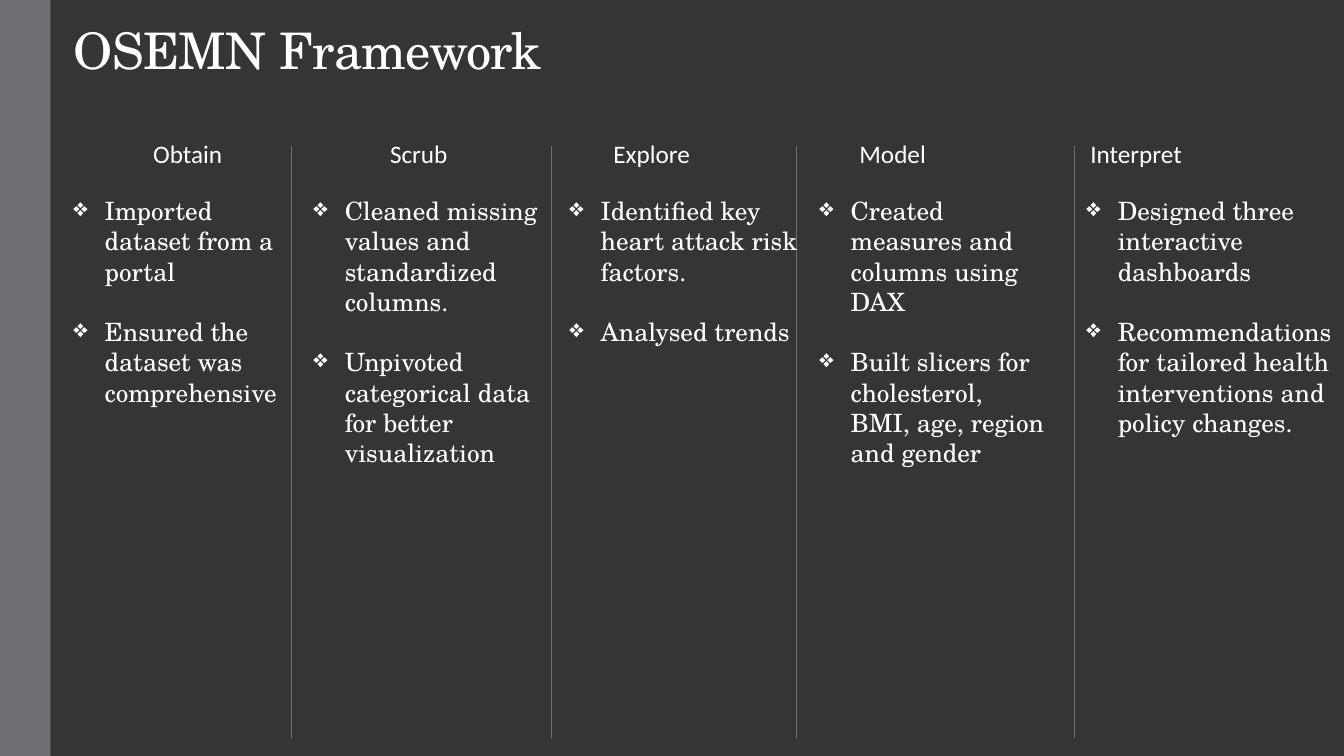
from dataclasses import dataclass

from lxml import etree
from pptx import Presentation
from pptx.dml.color import RGBColor
from pptx.enum.shapes import MSO_CONNECTOR, MSO_SHAPE
from pptx.enum.text import MSO_ANCHOR, MSO_AUTO_SIZE, PP_ALIGN
from pptx.oxml.ns import qn
from pptx.slide import Slide
from pptx.text.text import TextFrame, _Paragraph, _Run
from pptx.util import Cm, Pt

STRAIGHT = MSO_CONNECTOR.STRAIGHT
RECTANGLE = MSO_SHAPE.RECTANGLE
BOTTOM = MSO_ANCHOR.BOTTOM
LEFT = PP_ALIGN.LEFT
NO_FIT = MSO_AUTO_SIZE.NONE
GROW = MSO_AUTO_SIZE.SHAPE_TO_FIT_TEXT

BACKGROUND, GREY, WHITE = "353537", "6F6F74", "FFFFFF"
TITLE_FORMAT = {"name": "TeX Gyre Schola", "size": Pt(36)}
HEADING_FORMAT = {"name": "Calibri", "size": Pt(18)}
LIST_FORMAT = {"name": "TeX Gyre Schola", "size": Pt(18)}

HEADING_TOP, HEADING_HEIGHT = 3.35, 1.02
LIST_TOP = 4.8
DIVIDER_TOP, DIVIDER_BOTTOM = 3.68, 18.59
DIVIDERS = (7.34, 13.89, 20.07, 27.08)
BULLET_INDENT = Cm(0.79)
ITEM_GAP = Pt(21.6)


@dataclass(frozen=True)
class Stage:
    """One column of the framework, with lengths in centimetres."""
    heading: str
    heading_left: float
    heading_width: float
    list_left: float
    list_width: float
    list_height: float
    items: tuple[str, ...]


STAGES = (
    Stage("Obtain", 3.61, 2.36, 1.6, 5.89, 5.64,
          ("Imported dataset from a portal",
           "Ensured the dataset was comprehensive")),
    Stage("Scrub", 9.58, 2.01, 7.65, 6.25, 7.95,
          ("Cleaned missing values and standardized columns.",
           "Unpivoted categorical data for better visualization")),
    Stage("Explore", 15.21, 2.57, 14.1, 6.25, 4.88,
          ("Identified key heart attack risk factors.",
           "Analysed trends")),
    Stage("Model", 21.41, 2.21, 20.4, 6.25, 7.19,
          ("Created measures and columns using DAX",
           "Built slicers for cholesterol, BMI, age, region and gender")),
    Stage("Interpret", 27.23, 3.02, 27.13, 6.93, 7.95,
          ("Designed three interactive dashboards",
           "Recommendations for tailored health interventions and policy changes.")),
)


def rgb(value: str) -> RGBColor:
    return RGBColor.from_string(value)


def add_run(p: _Paragraph, text: str, formats: dict) -> _Run:
    r = p.add_run()
    r.text = text
    for name, value in formats.items():
        setattr(r.font, name, value)
    r.font.color.rgb = rgb(WHITE)
    return r


def add_text_frame(slide: Slide, left: float, top: float,
                   width: float, height: float) -> TextFrame:
    sp = slide.shapes.add_textbox(Cm(left), Cm(top), Cm(width), Cm(height))
    tf = sp.text_frame
    tf.word_wrap = True
    tf.auto_size = GROW
    return tf


def add_bullet(p: _Paragraph) -> None:
    pPr = p._p.get_or_add_pPr()
    pPr.set("marL", str(BULLET_INDENT))
    pPr.set("indent", str(-BULLET_INDENT))
    etree.SubElement(pPr, qn("a:buChar")).set("char", "❖")


def add_stage(slide: Slide, stage: Stage) -> None:
    tf = add_text_frame(slide, stage.heading_left, HEADING_TOP,
                        stage.heading_width, HEADING_HEIGHT)
    add_run(tf.paragraphs[0], stage.heading, HEADING_FORMAT)

    tf = add_text_frame(slide, stage.list_left, LIST_TOP,
                        stage.list_width, stage.list_height)
    for i, item in enumerate(stage.items):
        p = tf.add_paragraph() if i else tf.paragraphs[0]
        add_bullet(p)
        if i:
            p.space_before = ITEM_GAP
        add_run(p, item, LIST_FORMAT)


def add_divider(slide: Slide, x: float) -> None:
    line = slide.shapes.add_connector(STRAIGHT, Cm(x), Cm(DIVIDER_TOP),
                                      Cm(x), Cm(DIVIDER_BOTTOM))
    line.line.color.rgb = rgb(GREY)
    line.line.width = Pt(0.75)
    etree.SubElement(line._element.spPr, qn("a:effectLst"))


def add_side_band(slide: Slide, height: int) -> None:
    sp = slide.shapes.add_shape(RECTANGLE, 0, 0, Cm(1.27), height)
    sp.shadow.inherit = False
    sp.fill.solid()
    sp.fill.fore_color.rgb = rgb(GREY)
    sp.line.fill.background()


def set_title(slide: Slide, text: str) -> None:
    sp = slide.shapes.title
    sp.left, sp.top, sp.width, sp.height = Cm(1.6), Cm(0.58), Cm(12.55), Cm(1.57)
    tf = sp.text_frame
    tf.auto_size = NO_FIT
    tf.word_wrap = True
    tf.vertical_anchor = BOTTOM
    p = tf.paragraphs[0]
    p.alignment = LEFT
    p.line_spacing = 0.85
    r = add_run(p, text, TITLE_FORMAT)
    r._r.get_or_add_rPr().set("spc", "-50")


def main() -> None:
    prs = Presentation()
    prs.slide_width, prs.slide_height = Cm(33.87), Cm(19.05)
    slide = prs.slides.add_slide(prs.slide_layouts[5])
    slide.background.fill.solid()
    slide.background.fill.fore_color.rgb = rgb(BACKGROUND)

    add_side_band(slide, prs.slide_height)
    set_title(slide, "OSEMN Framework")
    for x in DIVIDERS:
        add_divider(slide, x)
    for stage in STAGES:
        add_stage(slide, stage)
    prs.save("out.pptx")


if __name__ == "__main__":
    main()
